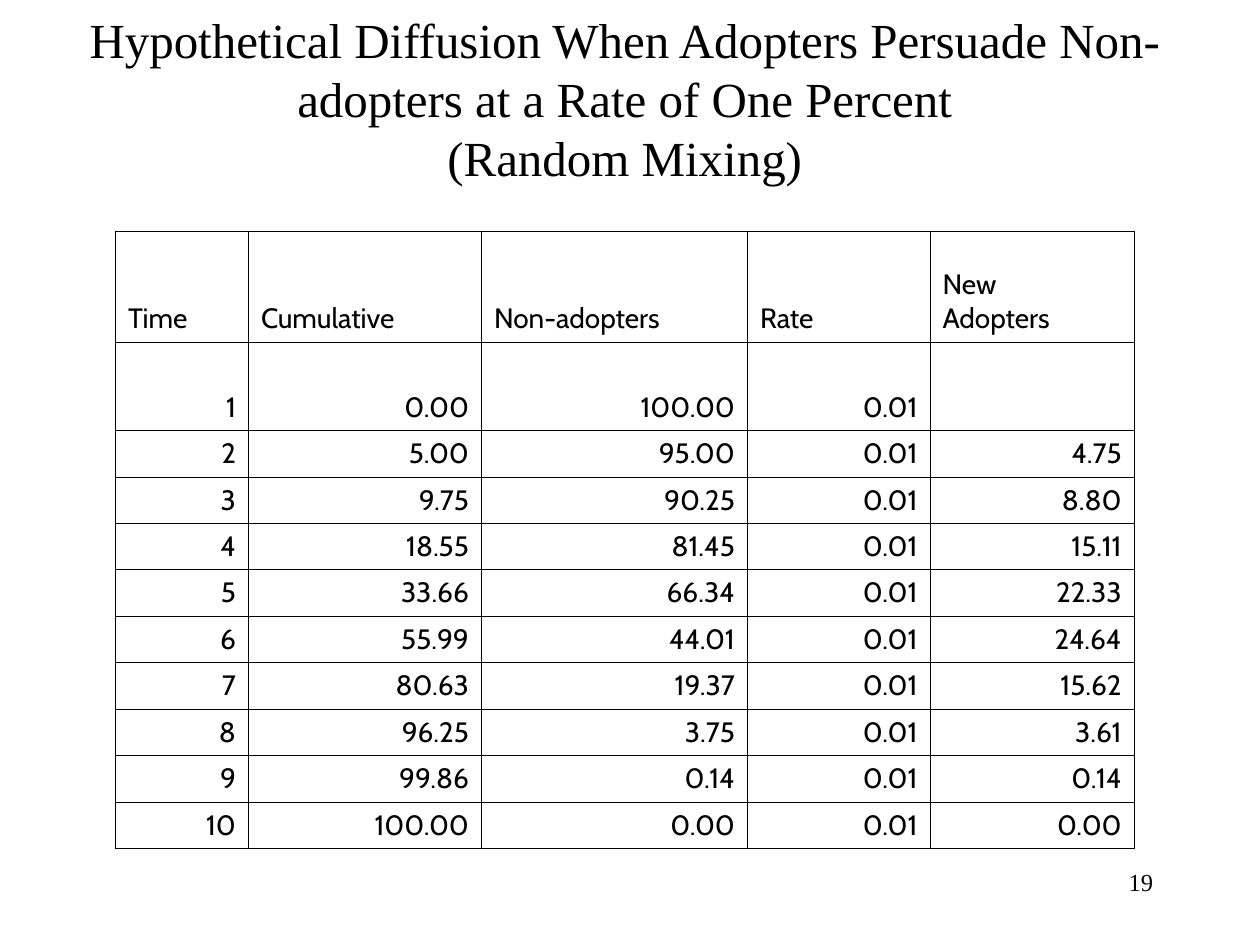
from lxml.etree import SubElement
from pptx import Presentation
from pptx.dml.color import RGBColor
from pptx.enum.text import MSO_ANCHOR as Anchor, MSO_AUTO_SIZE as Fit, PP_ALIGN as Align
from pptx.oxml.ns import qn
from pptx.util import Pt

BLACK = RGBColor(0, 0, 0)
WHITE = RGBColor(255, 255, 255)
SERIF, SANS = "Times New Roman", "Cabin"
TITLE = ("Hypothetical Diffusion When Adopters Persuade "
         "Non-adopters at a Rate of One Percent\v(Random Mixing)")
HEADS = ["Time", "Cumulative", "Non-adopters", "Rate", "New\nAdopters"]
RATE = "0.01"
# Cumulative, non-adopters and new adopters at each time step
STEPS = [
    ("0.00", "100.00", ""),
    ("5.00", "95.00", "4.75"),
    ("9.75", "90.25", "8.80"),
    ("18.55", "81.45", "15.11"),
    ("33.66", "66.34", "22.33"),
    ("55.99", "44.01", "24.64"),
    ("80.63", "19.37", "15.62"),
    ("96.25", "3.75", "3.61"),
    ("99.86", "0.14", "0.14"),
    ("100.00", "0.00", "0.00"),
]
COLS = [76, 133.2, 152, 104.3, 116.7]
ROWS = [63.4, 50.6] + [26.55] * 9


def style(frame, face, size, align):
    for para in frame.paragraphs:
        para.alignment = align
        for font in [para.font] + [run.font for run in para.runs]:
            font.name, font.size = face, Pt(size)
            font.color.rgb = BLACK


def add_title(slide, x, y, w, h):
    title = slide.shapes.title
    title.left, title.top, title.width, title.height = Pt(x), Pt(y), Pt(w), Pt(h)
    frame = title.text_frame
    frame.text = TITLE
    frame.word_wrap = True
    frame.auto_size = Fit.NONE
    frame.vertical_anchor = Anchor.MIDDLE
    style(frame, SERIF, 28, Align.CENTER)


def add_page(slide, x, y, w, h):
    """Add the page number."""
    box = slide.shapes.add_textbox(Pt(x), Pt(y), Pt(w), Pt(h))
    frame = box.text_frame
    frame.word_wrap = True
    frame.text = "19"
    style(frame, SERIF, 14, Align.RIGHT)


def set_edges(cell):
    """Draw a thin line on all four sides of a cell."""
    props = cell._tc.get_or_add_tcPr()
    for i, side in enumerate(("lnL", "lnR", "lnT", "lnB")):
        line = props.makeelement(qn(f"a:{side}"), {"w": str(Pt(0.45))})
        fill = SubElement(line, qn("a:solidFill"))
        SubElement(fill, qn("a:srgbClr"), val=str(BLACK))
        props.insert(i, line)


def fill_cell(cell, text, align):
    cell.fill.background()
    cell.vertical_anchor = Anchor.BOTTOM
    frame = cell.text_frame
    frame.text = text
    style(frame, SANS, 16, align)
    for para in frame.paragraphs:
        props = para._p.get_or_add_pPr()
        props.set("marL", str(Pt(27)))
        props.set("indent", str(Pt(-27)))
    set_edges(cell)


def add_grid(slide, x, y):
    """Add the table of diffusion steps."""
    data = [HEADS] + [[str(i), total, rest, RATE, new]
                      for i, (total, rest, new) in enumerate(STEPS, 1)]
    table = slide.shapes.add_table(len(ROWS), len(COLS), Pt(x), Pt(y),
                                   Pt(sum(COLS)), Pt(sum(ROWS))).table
    table.first_row = table.horz_banding = False
    for col, width in zip(table.columns, COLS):
        col.width = Pt(width)
    for row, height, texts in zip(table.rows, ROWS, data):
        row.height = Pt(height)
        align = Align.LEFT if texts is HEADS else Align.RIGHT
        for cell, text in zip(row.cells, texts):
            fill_cell(cell, text, align)


def main():
    deck = Presentation()
    deck.slide_width, deck.slide_height = Pt(720), Pt(540)
    slide = deck.slides.add_slide(deck.slide_layouts[5])
    slide.background.fill.solid()
    slide.background.fill.fore_color.rgb = WHITE
    add_title(slide, -3, 20, 720, 72)
    add_page(slide, 516, 492, 150, 36)
    add_grid(slide, 66, 132)
    deck.save("out.pptx")


if __name__ == "__main__":
    main()
